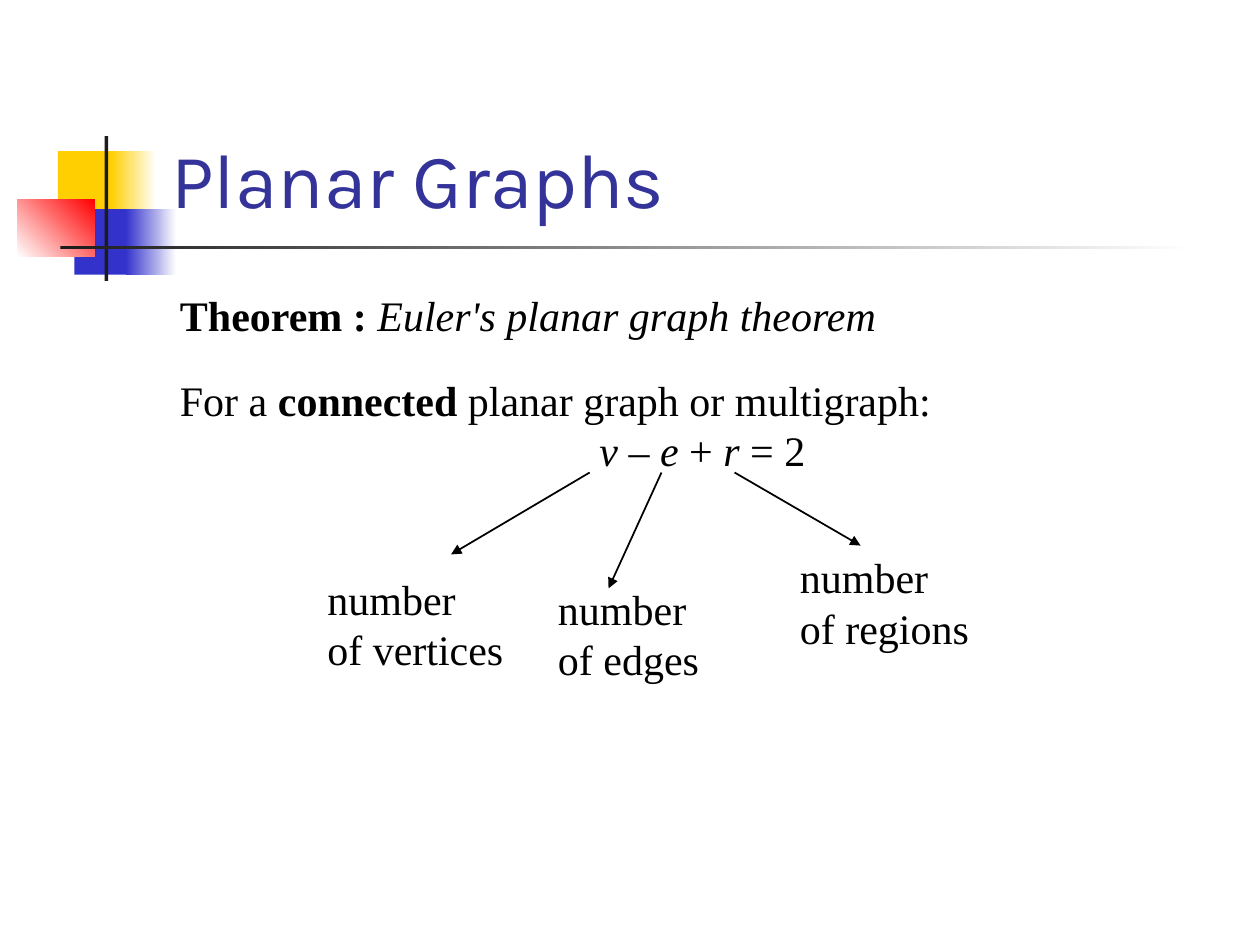
import pptx
import pptx.util
import pptx.dml.color
import pptx.enum.shapes
import pptx.enum.text
import pptx.oxml
import pptx.oxml.ns

Inches = pptx.util.Inches
Pt = pptx.util.Pt
RGB = pptx.dml.color.RGBColor.from_string

THEME = {
    "title": {"name": "Karla", "size": Pt(44), "color": "333399"},
    "body": {"name": "Times New Roman", "size": Pt(24), "color": "000000"},
    "yellow": "FFCF01",
    "blue": "3333CC",
    "red": "FF0000",
    "dark": "1C1C1C",
    "white": "FFFFFF",
    "arrow": "000000",
    "arrow_width": Pt(1),
}
BOLD = {"bold": True}
ITALIC = {"italic": True}
PLAIN = {}


def add_span(para, text, style, emphasis):
    span = para.add_run()
    span.text = text
    span.font.color.rgb = RGB(style["color"])
    formats = {"name": style["name"], "size": style["size"], **emphasis}
    for attribute, value in formats.items():
        setattr(span.font, attribute, value)


def add_text(page, place, lines):
    """Add a text box; each line is a list of (text, emphasis) pairs."""
    box = page.shapes.add_textbox(*map(Inches, place))
    box.text_frame.word_wrap = False
    for index, line in enumerate(lines):
        para = box.text_frame.paragraphs[0] if index == 0 else box.text_frame.add_paragraph()
        for text, emphasis in line:
            add_span(para, text, THEME["body"], emphasis)
    return box


deck = pptx.Presentation()
deck.slide_width, deck.slide_height = Inches(10), Inches(7.5)
page = deck.slides.add_slide(deck.slide_layouts[5])

# Corner ornament: left, top, width, height, start colour, end colour, angle
ornament = [
    (0.46, 1.2, 0.48, 0.52, "yellow", None, 0),
    (0.88, 1.2, 0.36, 0.52, "yellow", "white", 0),
    (0.59, 1.66, 0.46, 0.52, "blue", None, 0),
    (1, 1.66, 0.4, 0.52, "blue", "white", 0),
    (0.14, 1.58, 0.61, 0.46, "white", "red", 45),
    (0.83, 1.08, 0.03, 1.15, "dark", None, 0),
    (0.48, 1.95, 9, 0.03, "dark", "white", 0),
]
for *place, start, end, angle in ornament:
    block = page.shapes.add_shape(
        pptx.enum.shapes.MSO_SHAPE.RECTANGLE, *map(Inches, place))
    block.shadow.inherit = False
    block.line.fill.background()
    if end is None:
        block.fill.solid()
        block.fill.fore_color.rgb = RGB(THEME[start])
    else:
        block.fill.gradient()
        block.fill.gradient_angle = angle
        for stop, colour in zip(block.fill.gradient_stops, (start, end)):
            stop.color.rgb = RGB(THEME[colour])

# Title
title = page.shapes.title
title_place = {"left": 1.26, "top": 0.23, "width": 8.52, "height": 1.6}
for attribute, value in title_place.items():
    setattr(title, attribute, Inches(value))
title_format = {
    "vertical_anchor": pptx.enum.text.MSO_ANCHOR.BOTTOM,
    "auto_size": pptx.enum.text.MSO_AUTO_SIZE.NONE,
    "word_wrap": True,
}
for attribute, value in title_format.items():
    setattr(title.text_frame, attribute, value)
title_para = title.text_frame.paragraphs[0]
title_para.alignment = pptx.enum.text.PP_ALIGN.LEFT
add_span(title_para, "Planar Graphs", THEME["title"], PLAIN)

# Theorem and formula
add_text(page, (1.33, 2.25, 5.74, 0.5), [
    [("Theorem : ", BOLD), ("Euler's planar graph theorem", ITALIC)],
])
statement = add_text(page, (1.33, 2.92, 6.24, 0.9), [
    [("For a ", PLAIN), ("connected", BOLD), (" planar graph or multigraph:", PLAIN)],
    [("v ", ITALIC), ("– ", PLAIN), ("e ", ITALIC), ("+ ", PLAIN),
     ("r ", ITALIC), ("= 2", PLAIN)],
])
statement.text_frame.word_wrap = True
formula = statement.text_frame.paragraphs[1]
formula_properties = formula._p.get_or_add_pPr()
formula_properties.set("marL", str(Inches(3.33)))
formula_properties.set("indent", "0")

# Meaning of each term: label, label place, arrow start x, arrow tip
terms = [
    ("of vertices", (2.5, 4.5, 1.6, 0.9), 4.68, (3.58, 4.4)),
    ("of edges", (4.33, 4.58, 1.32, 0.9), 5.25, (4.83, 4.67)),
    ("of regions", (6.25, 4.33, 1.54, 0.9), 5.83, (6.83, 4.33)),
]
arrow_top = 3.75
for label, place, start_x, tip in terms:
    add_text(page, place, [[("number", PLAIN)], [(label, PLAIN)]])
    arrow = page.shapes.add_connector(
        pptx.enum.shapes.MSO_CONNECTOR.STRAIGHT,
        *map(Inches, (start_x, arrow_top, *tip)))
    arrow.line.color.rgb = RGB(THEME["arrow"])
    arrow.line.width = THEME["arrow_width"]
    head = pptx.oxml.parse_xml(
        f'<a:tailEnd {pptx.oxml.ns.nsdecls("a")} type="triangle"/>')
    arrow.line._get_or_add_ln().append(head)
    no_effects = pptx.oxml.parse_xml(f'<a:effectLst {pptx.oxml.ns.nsdecls("a")}/>')
    arrow._element.spPr.append(no_effects)

deck.save("out.pptx")
